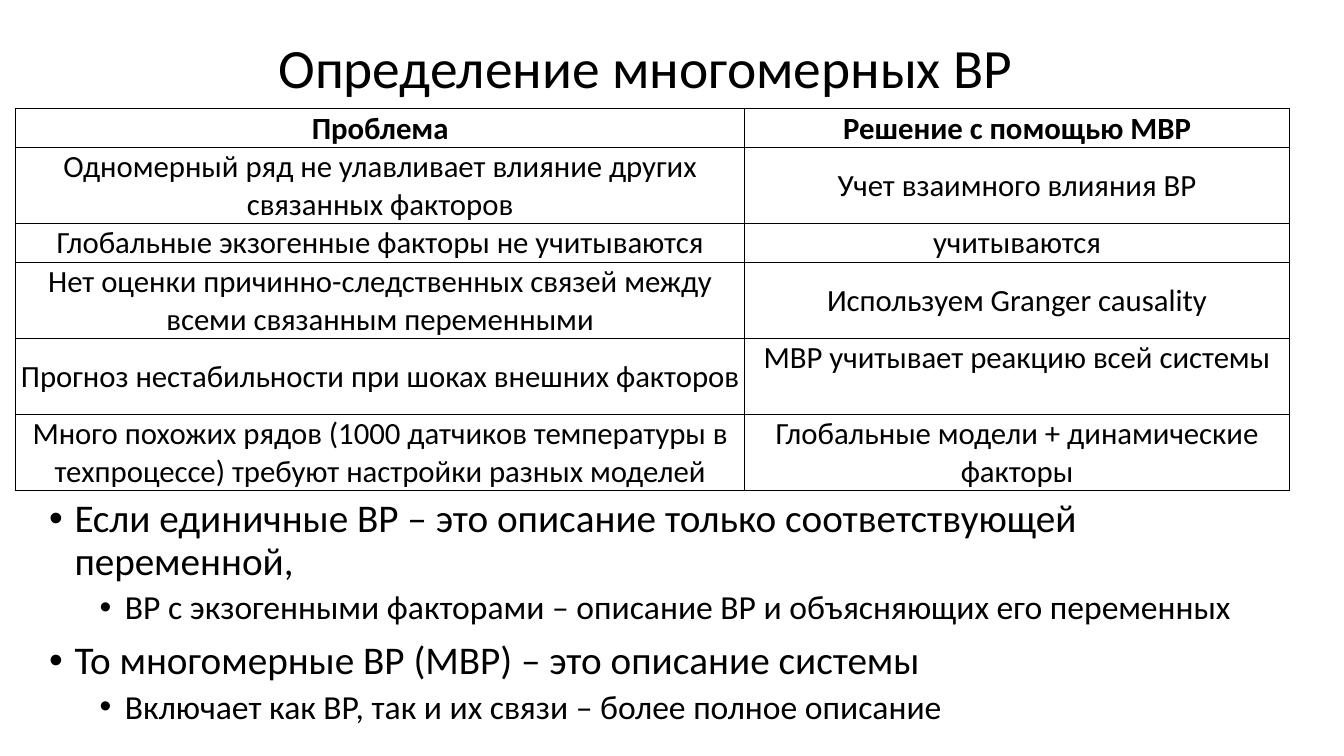
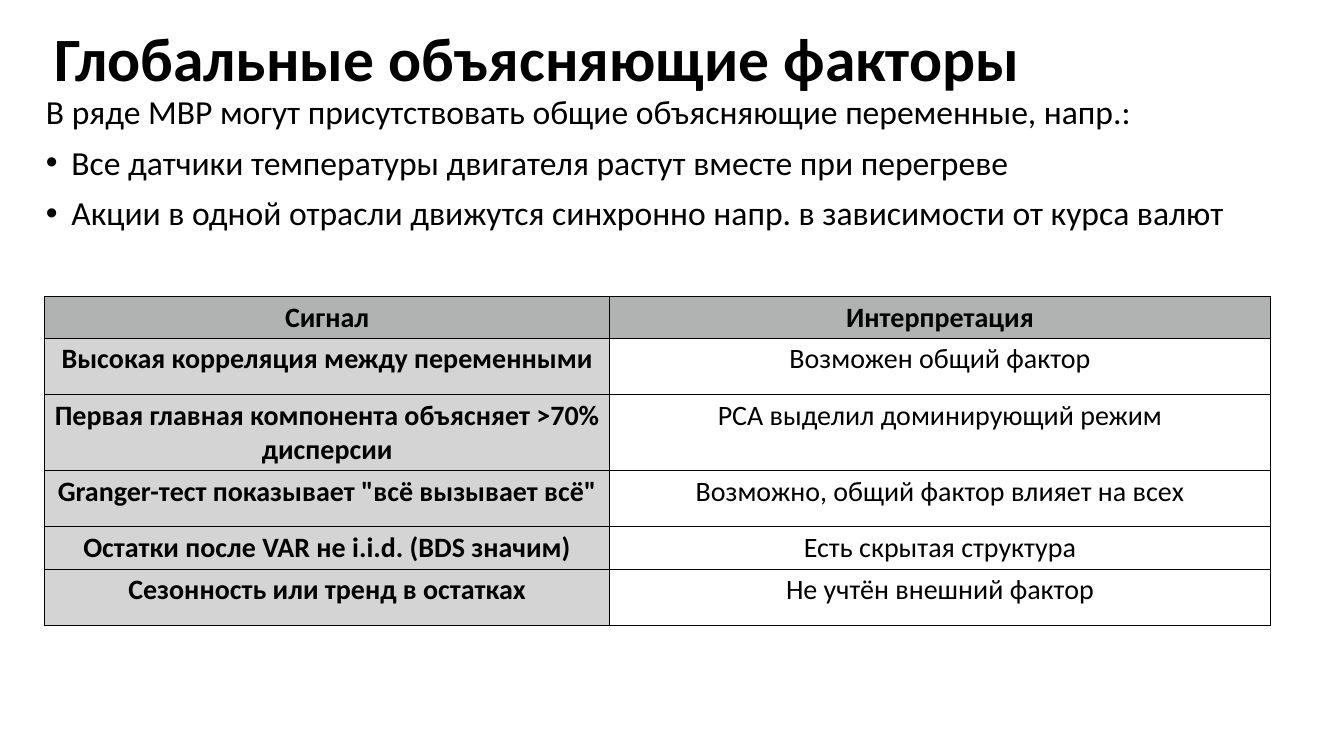
from lxml.etree import SubElement
from pptx import Presentation
from pptx.dml.color import RGBColor
from pptx.enum.text import MSO_ANCHOR, PP_ALIGN
from pptx.oxml import parse_xml
from pptx.oxml.ns import nsdecls, qn
from pptx.util import Cm, Pt

FONT = "Calibri"
COLORS = {"text": "000000", "border": "000000", "paper": "FFFFFF",
          "header": "B0B3B2", "signal": "D4D4D4"}
LINE_SPACING = 0.9
BULLET_HANG = 0.64
LEVEL_INDENT = 1.27

PROBLEMS = [
    ("Проблема", "Решение с помощью МВР"),
    ("Одномерный ряд не улавливает влияние других связанных факторов",
     "Учет взаимного влияния ВР"),
    ("Глобальные экзогенные факторы не учитываются", "учитываются"),
    ("Нет оценки причинно-следственных связей между всеми связанным переменными",
     "Используем Granger causality"),
    ("Прогноз нестабильности при шоках внешних факторов",
     "МВР учитывает реакцию всей системы"),
    ("Много похожих рядов (1000 датчиков температуры в техпроцессе) "
     "требуют настройки разных моделей",
     "Глобальные модели + динамические факторы"),
]
SIGNALS = [
    ("Сигнал", "Интерпретация"),
    ("Высокая корреляция между переменными", "Возможен общий фактор"),
    ("Первая главная компонента объясняет >70% дисперсии",
     "PCA выделил доминирующий режим"),
    ('Granger-тест показывает "всё вызывает всё"',
     "Возможно, общий фактор влияет на всех"),
    ("Остатки после VAR не i.i.d. (BDS значим)", "Есть скрытая структура"),
    ("Сезонность или тренд в остатках", "Не учтён внешний фактор"),
]
# Each body line: level (None means no bullet), size in points, text
DEFINITION = [
    (0, 28, "Если единичные ВР – это описание только соответствующей переменной,"),
    (1, 24, "ВР с экзогенными факторами – описание ВР и объясняющих его переменных"),
    (0, 28, "То многомерные ВР (МВР) – это описание системы"),
    (1, 24, "Включает как ВР, так и их связи – более полное описание"),
]
EXAMPLES = [
    (None, 24, "В ряде МВР могут присутствовать общие объясняющие переменные, напр.:"),
    (0, 24, "Все датчики температуры двигателя растут вместе при перегреве"),
    (0, 24, "Акции в одной отрасли движутся синхронно напр. в зависимости от курса валют"),
]


def color(name):
    return RGBColor.from_string(COLORS[name])


def write(paragraph, text, size, bold=False, align=PP_ALIGN.LEFT):
    paragraph.text = text
    paragraph.alignment = align
    for run in paragraph.runs:
        run.font.name = FONT
        run.font.size = Pt(size)
        run.font.bold = bold
        run.font.color.rgb = color("text")


def add_text_frame(slide, box):
    frame = slide.shapes.add_textbox(*map(Cm, box)).text_frame
    frame.word_wrap = True
    return frame


def add_title(slide, text, box, size, bold=False, align=PP_ALIGN.LEFT):
    frame = add_text_frame(slide, box)
    frame.vertical_anchor = MSO_ANCHOR.MIDDLE
    title = frame.paragraphs[0]
    write(title, text, size, bold, align)
    title.line_spacing = LINE_SPACING


def set_bullet(paragraph, level):
    properties = paragraph._p.get_or_add_pPr()
    properties.set("marL", str(Cm(BULLET_HANG + level * LEVEL_INDENT)))
    properties.set("indent", str(-Cm(BULLET_HANG)))
    SubElement(properties, qn("a:buFont"), typeface="Arial")
    SubElement(properties, qn("a:buChar"), char="•")


def add_body(slide, lines, box):
    frame = add_text_frame(slide, box)
    for index, (level, size, text) in enumerate(lines):
        paragraph = frame.add_paragraph() if index else frame.paragraphs[0]
        if level is not None:
            set_bullet(paragraph, level)
            paragraph.level = level
        write(paragraph, text, size)
        paragraph.line_spacing = LINE_SPACING
        if index:
            paragraph.space_before = Pt(5 if level else 10)


def set_borders(cell, width):
    properties = cell._tc.get_or_add_tcPr()
    for position, side in enumerate(("lnL", "lnR", "lnT", "lnB")):
        properties.insert(position, parse_xml(
            f'<a:{side} {nsdecls("a")} w="{Pt(width)}"><a:solidFill>'
            f'<a:srgbClr val="{COLORS["border"]}"/></a:solidFill></a:{side}>'))


def add_grid(slide, rows, corner, widths, heights, size, border, margins, style):
    """Add a table; style(row, column) gives fill name, bold and anchor."""
    left, top = corner
    table = slide.shapes.add_table(
        len(rows), len(widths), Cm(left), Cm(top),
        Cm(sum(widths)), Cm(sum(heights))).table
    table.first_row = table.horz_banding = False
    for column, width in zip(table.columns, widths):
        column.width = Cm(width)
    for r, (texts, height) in enumerate(zip(rows, heights)):
        table.rows[r].height = Cm(height)
        for c, text in enumerate(texts):
            cell = table.cell(r, c)
            fill, bold, cell.vertical_anchor = style(r, c)
            (cell.margin_left, cell.margin_right,
             cell.margin_top, cell.margin_bottom) = map(Cm, margins)
            cell.fill.solid()
            cell.fill.fore_color.rgb = color(fill)
            set_borders(cell, border)
            write(cell.text_frame.paragraphs[0], text, size, bold, PP_ALIGN.CENTER)


def problem_style(row, column):
    anchor = MSO_ANCHOR.TOP if (row, column) == (4, 1) else MSO_ANCHOR.MIDDLE
    return "paper", row == 0, anchor


def signal_style(row, column):
    if row == 0:
        fill = "header"
    else:
        fill = "paper" if column else "signal"
    return fill, fill != "paper", MSO_ANCHOR.TOP


def add_definition_slide(slide):
    add_title(slide, "Определение многомерных ВР", (0.99, 1.02, 30.56, 1.5),
              39.6, align=PP_ALIGN.CENTER)
    add_grid(slide, PROBLEMS, (0.4, 2.74), (18.36, 13.74),
             (0.98, 1.92, 0.97, 1.92, 1.92, 1.92), 22, 1,
             (0.02, 0.02, 0.02, 0), problem_style)
    add_body(slide, DEFINITION, (0.99, 12.45, 31.52, 6.38))


def add_factors_slide(slide):
    add_title(slide, "Глобальные объясняющие факторы", (1.12, 0.58, 31.83, 1.96),
              44, bold=True)
    add_body(slide, EXAMPLES, (0.91, 2.29, 32.03, 4.6))
    add_grid(slide, SIGNALS, (1.12, 7.47), (14.25, 16.64),
             (1.04, 1.42, 1.92, 1.42, 1.06, 1.42), 20, 0.75,
             (0.1, 0.1, 0.1, 0.1), signal_style)


def main():
    presentation = Presentation()
    presentation.slide_width = Cm(33.87)
    presentation.slide_height = Cm(19.05)
    blank = presentation.slide_layouts[6]
    for build in (add_definition_slide, add_factors_slide):
        build(presentation.slides.add_slide(blank))
    presentation.save("out.pptx")


if __name__ == "__main__":
    main()
